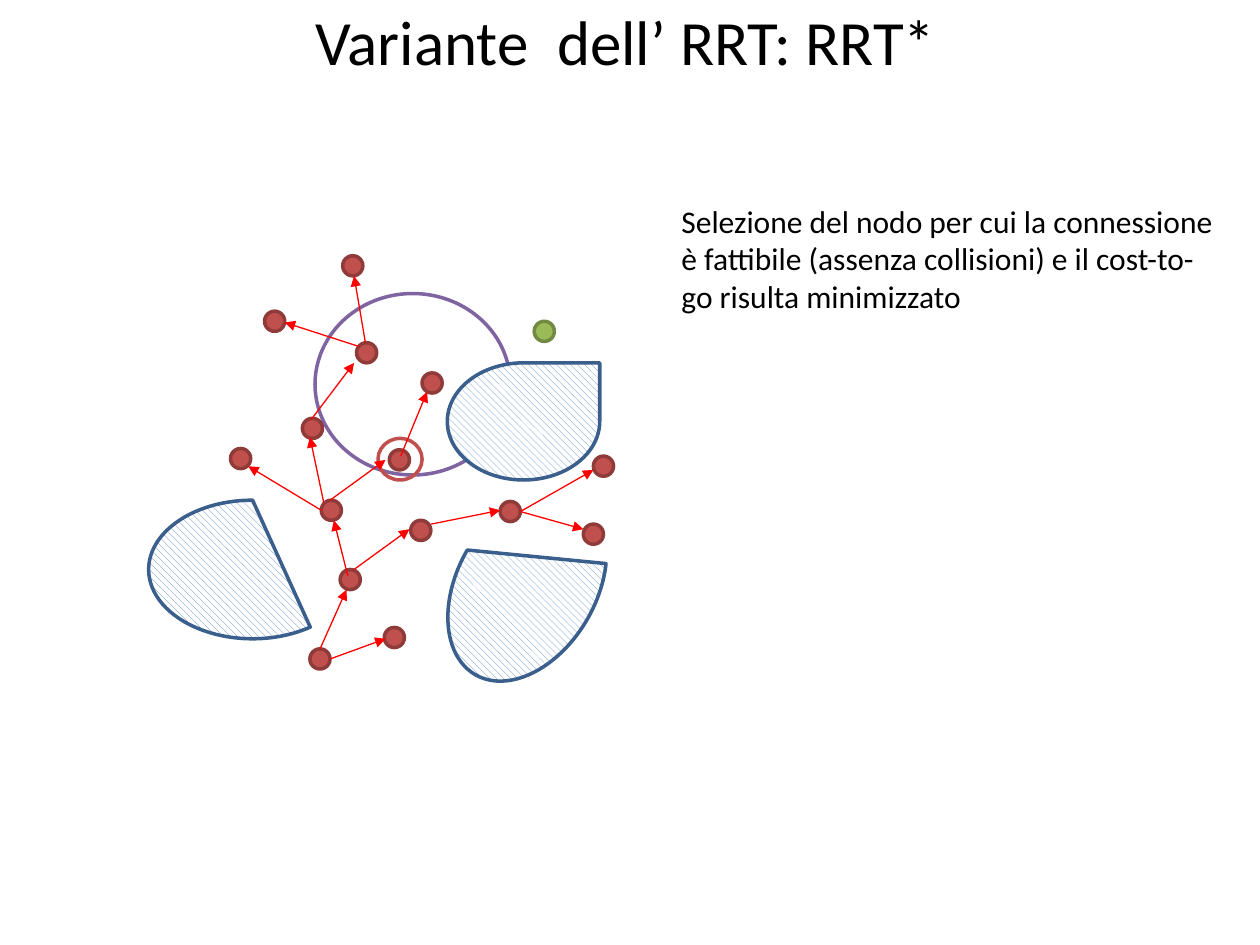
from lxml import etree
from pptx import Presentation
from pptx.dml.color import RGBColor
from pptx.enum.dml import MSO_PATTERN
from pptx.enum.shapes import MSO_CONNECTOR, MSO_SHAPE
from pptx.enum.text import MSO_ANCHOR, PP_ALIGN
from pptx.oxml.ns import qn
from pptx.util import Inches, Pt

COLORS = {
    "text": "000000", "white": "FFFFFF", "edge": "FF0000",
    "node": "C0504D", "node_line": "8E3B39",
    "sample": "9BBB59", "sample_line": "738A42",
    "hatch": "4F81BD", "obstacle_line": "3A5F8C", "radius": "8064A2",
}
NODE_SIZE = 0.16


def rgb(name):
    return RGBColor.from_string(COLORS[name])


def write(shape, text, size, align=PP_ALIGN.LEFT, anchor=MSO_ANCHOR.TOP):
    frame = shape.text_frame
    frame.word_wrap = True
    frame.vertical_anchor = anchor
    paragraph = frame.paragraphs[0]
    paragraph.text = text
    paragraph.alignment = align
    paragraph.font.size = Pt(size)
    paragraph.font.name = "Calibri"
    paragraph.font.color.rgb = rgb("text")


prs = Presentation()
prs.slide_width, prs.slide_height = Inches(10), Inches(7.5)
slide = prs.slides.add_slide(prs.slide_layouts[5])
shapes = slide.shapes

title = shapes.title
title.left, title.top = Inches(0.12), Inches(-0.03)
title.width, title.height = Inches(9.69), Inches(0.71)
write(title, "Variante  dell’ RRT: RRT*", 36, align=PP_ALIGN.CENTER)

explanation = shapes.add_textbox(Inches(5.31), Inches(1.55), Inches(4.49), Inches(1.01))
write(explanation, "Selezione del nodo per cui la connessione è fattibile "
      "(assenza collisioni) e il cost-to-go risulta minimizzato", 18)

# Top-left corners of the tree nodes, from the root outwards
tree_nodes = [
    (2.46, 5.15), (2.7, 4.52), (3.05, 4.98), (3.26, 4.13), (2.55, 3.97),
    (3.09, 3.57), (2.4, 3.32), (1.83, 3.56), (3.97, 3.98), (2.83, 2.72),
    (4.63, 4.16), (4.71, 3.62), (2.72, 2.03), (2.1, 2.47), (3.35, 2.96),
]
# Preset, left, top, width, height, rotation, fill, line
ellipse, chord = MSO_SHAPE.OVAL, MSO_SHAPE.CHORD
figures = [(ellipse, 2.5, 2.33, 1.55, 1.44, 0, None, "radius")]
figures += [(ellipse, x, y, NODE_SIZE, NODE_SIZE, 0, "node", "node_line")
            for x, y in tree_nodes]
figures += [
    (MSO_SHAPE.TEAR, 3.55, 2.88, 1.21, 0.93, 0, "hatch", "obstacle_line"),
    (chord, 1.18, 3.97, 1.65, 1.1, 0, "hatch", "obstacle_line"),
    (chord, 3.36, 4.09, 1.65, 1.1, 300, "hatch", "obstacle_line"),
    (ellipse, 4.24, 2.55, NODE_SIZE, NODE_SIZE, 0, "sample", "sample_line"),
    (ellipse, 3, 3.48, 0.35, 0.33, 0, None, "node"),
]
for preset, x, y, width, height, rotation, fill, line in figures:
    figure = shapes.add_shape(preset, Inches(x), Inches(y), Inches(width), Inches(height))
    figure.shadow.inherit = False
    figure.rotation = rotation
    figure.line.color.rgb = rgb(line)
    figure.line.width = Pt(2)
    if fill is None:
        figure.fill.background()
    elif fill == "hatch":
        figure.fill.patterned()
        figure.fill.pattern = MSO_PATTERN.WIDE_DOWNWARD_DIAGONAL
        figure.fill.fore_color.rgb = rgb("hatch")
        figure.fill.back_color.rgb = rgb("white")
    else:
        figure.fill.solid()
        figure.fill.fore_color.rgb = rgb(fill)

# Start and end of each tree edge
tree_edges = [
    (2.54, 5.15, 2.75, 4.68), (2.62, 5.23, 3.06, 5.07), (2.81, 4.52, 3.25, 4.2),
    (2.76, 4.57, 2.65, 4.13), (2.62, 3.97, 3.06, 3.65), (2.57, 3.99, 2.46, 3.47),
    (2.55, 4.05, 1.97, 3.7), (3.42, 4.16, 3.97, 4.05), (2.47, 3.33, 2.81, 2.88),
    (4.13, 4.06, 4.63, 4.2), (4.13, 4.06, 4.71, 3.73), (2.9, 2.72, 2.81, 2.19),
    (2.85, 2.75, 2.26, 2.56), (3.18, 3.62, 3.39, 3.11),
]
for ends in tree_edges:
    edge = shapes.add_connector(MSO_CONNECTOR.STRAIGHT, *map(Inches, ends))
    edge.line.color.rgb = rgb("edge")
    edge.line.width = Pt(0.75)
    etree.SubElement(edge.line._get_or_add_ln(), qn("a:tailEnd"), type="triangle")
    etree.SubElement(edge._element.spPr, qn("a:effectLst"))

prs.save("out.pptx")
